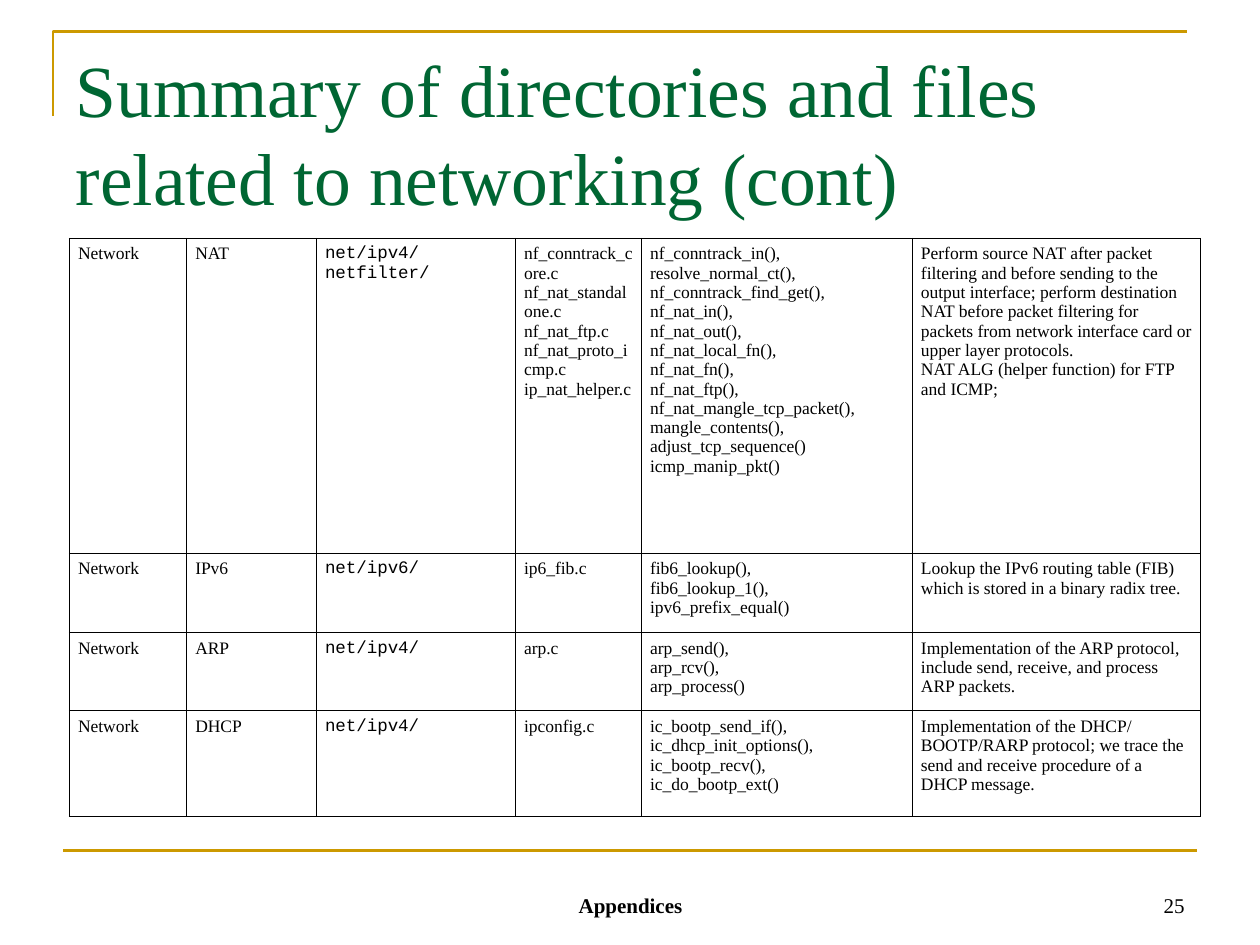
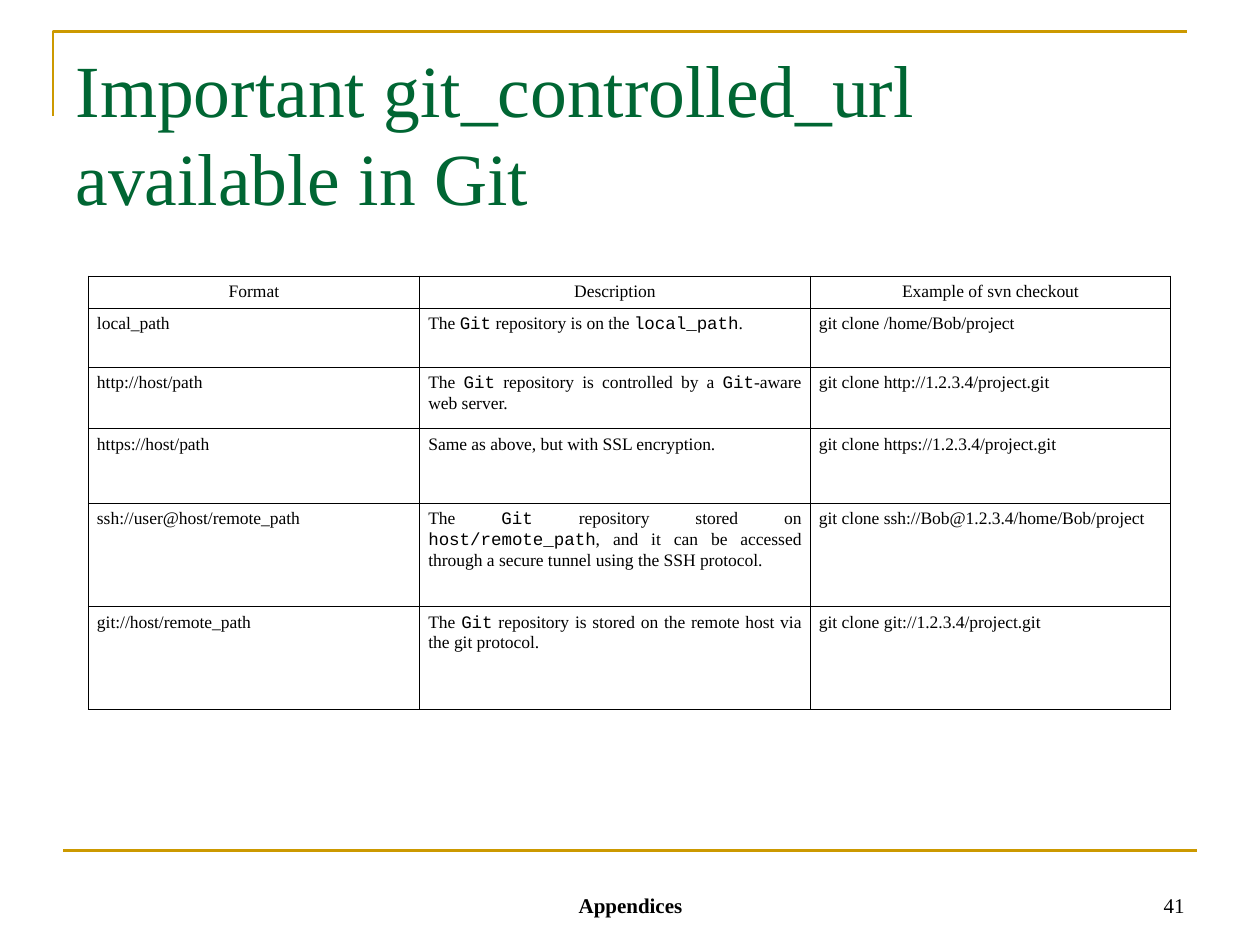
from lxml import etree
from pptx import Presentation
from pptx.dml.color import RGBColor
from pptx.enum import shapes, text
from pptx.oxml import parse_xml
from pptx.oxml.ns import nsdecls, qn
from pptx.util import Inches, Pt

GOLD, GREEN, BLACK = "CC9900", "006633", "000000"
SERIF, MONO = "Times New Roman", "Courier New"
LEFT, MID, RIGHT, JUST = (text.PP_ALIGN.LEFT, text.PP_ALIGN.CENTER,
                          text.PP_ALIGN.RIGHT, text.PP_ALIGN.JUSTIFY)


def style(item, size, color=BLACK, bold=False):
    """Set the serif font of a paragraph."""
    item.font.name, item.font.size, item.font.bold = SERIF, Pt(size), bold
    item.font.color.rgb = RGBColor.from_string(color)


def fill_cell(cell, words, align):
    """Write lines into a bordered cell; words between backticks are monospaced."""
    cell.margin_left = cell.margin_right = Inches(0.07)
    cell.margin_top = cell.margin_bottom = Inches(0.05)
    frame = cell.text_frame
    for i, line in enumerate(words.split("\n")):
        para = frame.add_paragraph() if i else frame.paragraphs[0]
        para.alignment = align
        style(para, 10)
        for j, part in enumerate(line.split("`")):
            if part:
                run = para.add_run()
                run.text = part
                run.font.size = Pt(10)
                run.font.name = MONO if j % 2 else SERIF
                run.font.color.rgb = RGBColor.from_string(BLACK)
    props = cell._tc.get_or_add_tcPr()
    for side in "LRTB":
        props.append(parse_xml(
            f'<a:ln{side} {nsdecls("a")} w="5715"><a:solidFill>'
            f'<a:srgbClr val="{BLACK}"/></a:solidFill></a:ln{side}>'))
    cell.fill.background()


files = [
    ["Network", "NAT", "`net/ipv4/`\n`netfilter/`",
     "nf_conntrack_core.c\nnf_nat_standalone.c\nnf_nat_ftp.c\n"
     "nf_nat_proto_icmp.c\nip_nat_helper.c",
     "nf_conntrack_in(),\nresolve_normal_ct(),\nnf_conntrack_find_get(),\n"
     "nf_nat_in(),\nnf_nat_out(),\nnf_nat_local_fn(),\nnf_nat_fn(),\n"
     "nf_nat_ftp(),\nnf_nat_mangle_tcp_packet(),\nmangle_contents(),\n"
     "adjust_tcp_sequence()\nicmp_manip_pkt()",
     "Perform source NAT after packet filtering and before sending to the "
     "output interface; perform destination NAT before packet filtering for "
     "packets from network interface card or upper layer protocols.\n"
     "NAT ALG (helper function) for FTP and ICMP;"],
    ["Network", "IPv6", "`net/ipv6/`", "ip6_fib.c",
     "fib6_lookup(),\nfib6_lookup_1(),\nipv6_prefix_equal()",
     "Lookup the IPv6 routing table (FIB) which is stored in a binary radix tree."],
    ["Network", "ARP", "`net/ipv4/`", "arp.c",
     "arp_send(),\narp_rcv(),\narp_process()",
     "Implementation of the ARP protocol, include send, receive, and process "
     "ARP packets."],
    ["Network", "DHCP", "`net/ipv4/`", "ipconfig.c",
     "ic_bootp_send_if(),\nic_dhcp_init_options(),\nic_bootp_recv(),\n"
     "ic_do_bootp_ext()",
     "Implementation of the DHCP/ BOOTP/RARP protocol; we trace the send and "
     "receive procedure of a DHCP message."],
]
urls = [
    ["Format", "Description", "Example of svn checkout"],
    ["local_path", "The `Git` repository is on the `local_path`.",
     "git clone /home/Bob/project"],
    ["http://host/path",
     "The `Git` repository is controlled by a `Git`-aware web server.",
     "git clone http://1.2.3.4/project.git"],
    ["https://host/path", "Same as above, but with SSL encryption.",
     "git clone https://1.2.3.4/project.git"],
    ["ssh://user@host/remote_path",
     "The `Git` repository stored on `host/remote_path`, and it can be accessed "
     "through a secure tunnel using the SSH protocol.",
     "git clone ssh://Bob@1.2.3.4/home/Bob/project"],
    ["git://host/remote_path",
     "The `Git` repository is stored on the remote host via the git protocol.",
     "git clone git://1.2.3.4/project.git"],
]
# title, page, table left and top, columns, rows, head and body alignment, cells
pages = [
    ("Summary of directories and files related to networking (cont)", "25",
     0.55, 1.89, [0.93, 1.03, 1.58, 1, 2.15, 2.29], [2.5, 0.63, 0.62, 0.84],
     LEFT, LEFT, files),
    ("Important git_controlled_url available in Git", "41",
     0.7, 2.19, [2.63, 3.1, 2.86], [0.17, 0.47, 0.49, 0.59, 0.82, 0.82],
     MID, JUST, urls),
]

deck = Presentation()
deck.slide_width, deck.slide_height = Inches(10), Inches(7.5)

for name, page, left, top, cols, rows, head, body, cells in pages:
    slide = deck.slides.add_slide(deck.slide_layouts[5])

    # Gold corner and footer rule
    pen = slide.shapes.build_freeform(Inches(0.42), Inches(0.92))
    pen.add_line_segments([(Inches(0.42), Inches(0.25)),
                           (Inches(9.42), Inches(0.25))], close=False)
    corner = pen.convert_to_shape()
    corner.shadow.inherit = False
    corner.fill.background()
    rule = slide.shapes.add_connector(shapes.MSO_CONNECTOR.STRAIGHT, Inches(0.5),
                                      Inches(6.75), Inches(9.5), Inches(6.75))
    etree.SubElement(rule._element.spPr, qn("a:effectLst"))
    for edge in (corner, rule):
        edge.line.color.rgb = RGBColor.from_string(GOLD)
        edge.line.width = Pt(1.5)

    title = slide.shapes.title
    title.left, title.top = Inches(0.5), Inches(0.3)
    title.width, title.height = Inches(9), Inches(1.25)
    frame = title.text_frame
    frame.text = name
    frame.auto_size = text.MSO_AUTO_SIZE.NONE
    frame.vertical_anchor = text.MSO_ANCHOR.TOP
    para = frame.paragraphs[0]
    para.alignment = LEFT
    style(para, 42, GREEN)

    grid = slide.shapes.add_table(len(rows), len(cols), Inches(left), Inches(top),
                                  Inches(sum(cols)), Inches(sum(rows))).table
    grid.first_row = grid.horz_banding = False
    for col, width in zip(grid.columns, cols):
        col.width = Inches(width)
    for r, height in enumerate(rows):
        grid.rows[r].height = Inches(height)
        for c, words in enumerate(cells[r]):
            fill_cell(grid.cell(r, c), words, body if r else head)

    for words, x, width, align, bold in (("Appendices", 3.42, 3.17, MID, True),
                                         (page, 7.17, 2.33, RIGHT, False)):
        box = slide.shapes.add_textbox(Inches(x), Inches(6.83),
                                       Inches(width), Inches(0.5))
        frame = box.text_frame
        frame.word_wrap = True
        frame.vertical_anchor = text.MSO_ANCHOR.BOTTOM
        frame.text = words
        frame.paragraphs[0].alignment = align
        style(frame.paragraphs[0], 12, bold=bold)

deck.save("out.pptx")
